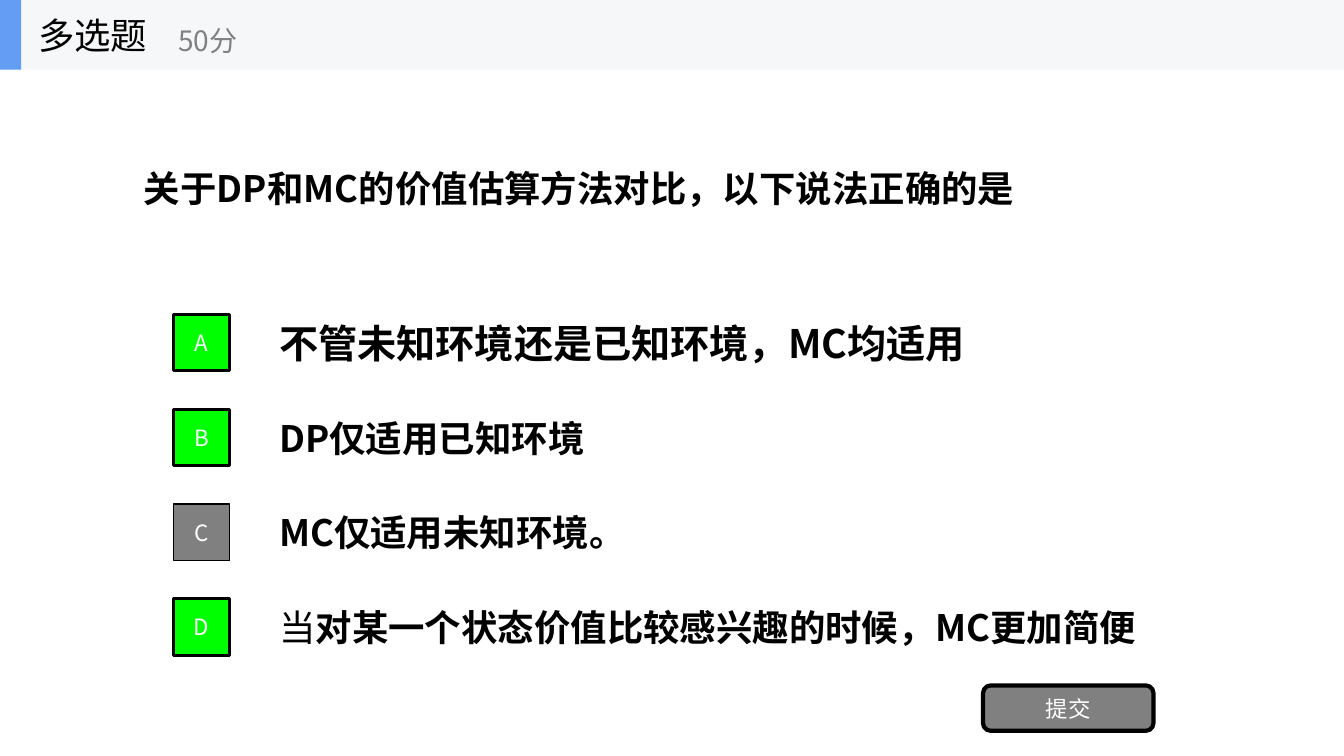
from lxml.etree import SubElement
from pptx import Presentation
from pptx.dml.color import RGBColor
from pptx.enum.shapes import MSO_SHAPE
from pptx.enum.text import MSO_ANCHOR, PP_ALIGN
from pptx.oxml.ns import qn
from pptx.util import Inches, Pt

TITLE = "多选题"
SCORE = "50分"
QUESTION = "关于DP和MC的价值估算方法对比，以下说法正确的是"
# letter, plain lead, bold text, text size, correct
OPTIONS = [
    ("A", "", "不管未知环境还是已知环境，MC均适用", 28, True),
    ("B", "", "DP仅适用已知环境", 26, True),
    ("C", "", "MC仅适用未知环境。", 26, False),
    ("D", "当", "对某一个状态价值比较感兴趣的时候，MC更加简便", 26, True),
]
SUBMIT = "提交"

FONT = "Noto Sans CJK SC"
BLACK = RGBColor(0x00, 0x00, 0x00)
WHITE = RGBColor(0xFF, 0xFF, 0xFF)
GRAY = RGBColor(0x80, 0x80, 0x80)
GREEN = RGBColor(0x00, 0xFF, 0x00)
BLUE = RGBColor(0x63, 0x9E, 0xF4)
PALE = RGBColor(0xF6, 0xF7, 0xF8)

WIDTH, HEIGHT = 13.33, 7.5
BAR = 0.69
TOP, STEP, ROW = 3.05, 0.94, 0.7
SIDE = 0.56


def write(shape, text, size, color, bold=False, lead="", align=PP_ALIGN.LEFT):
    """Fill a shape with one line: a plain lead, then the main text."""
    frame = shape.text_frame
    frame.word_wrap = True
    frame.vertical_anchor = MSO_ANCHOR.MIDDLE
    line = frame.paragraphs[0]
    line.alignment = align
    font = line.font
    font.size = Pt(size)
    font.color.rgb = color
    font.name = FONT
    # East Asian glyphs need their own typeface entry
    SubElement(font._element, qn("a:ea"), typeface=FONT)
    if lead:
        line.add_run().text = lead
    run = line.add_run()
    run.text = text
    if lead:
        run.font.bold = bold
    else:
        font.bold = bold


def label(shapes, box, *args, **style):
    write(shapes.add_textbox(*map(Inches, box)), *args, **style)


def block(shapes, box, fill, border=0, kind=MSO_SHAPE.RECTANGLE):
    shape = shapes.add_shape(kind, *map(Inches, box))
    shape.shadow.inherit = False
    shape.fill.solid()
    shape.fill.fore_color.rgb = fill
    if border:
        shape.line.color.rgb = BLACK
        shape.line.width = Pt(border)
    else:
        shape.line.fill.background()
    return shape


def main():
    deck = Presentation()
    deck.slide_width, deck.slide_height = Inches(WIDTH), Inches(HEIGHT)
    shapes = deck.slides.add_slide(deck.slide_layouts[6]).shapes

    label(shapes, (1.33, BAR, 10.67, 2.34), QUESTION, 26, BLACK, bold=True)

    for row, (letter, lead, text, size, right) in enumerate(OPTIONS):
        top = TOP + row * STEP
        label(shapes, (2.67, top, 9.69, ROW), text, size, BLACK,
              bold=True, lead=lead)
        box = (1.72, top + (ROW - SIDE) / 2, SIDE, SIDE)
        mark = block(shapes, box, GREEN if right else GRAY, 2 if right else 1)
        write(mark, letter, 16, WHITE, align=PP_ALIGN.CENTER)

    button = block(shapes, (9.75, 6.8, 1.69, 0.45), GRAY, 3,
                   MSO_SHAPE.ROUNDED_RECTANGLE)
    write(button, SUBMIT, 16, WHITE, align=PP_ALIGN.CENTER)

    header = shapes.add_group_shape().shapes
    block(header, (0, 0, WIDTH, BAR), PALE)
    block(header, (0, 0, 0.21, BAR), BLUE)
    label(header, (0.28, 0, 2.08, BAR), TITLE, 26, BLACK)
    label(header, (1.67, 0.12, 2.5, 0.56), SCORE, 20, GRAY)

    deck.save("out.pptx")


if __name__ == "__main__":
    main()
